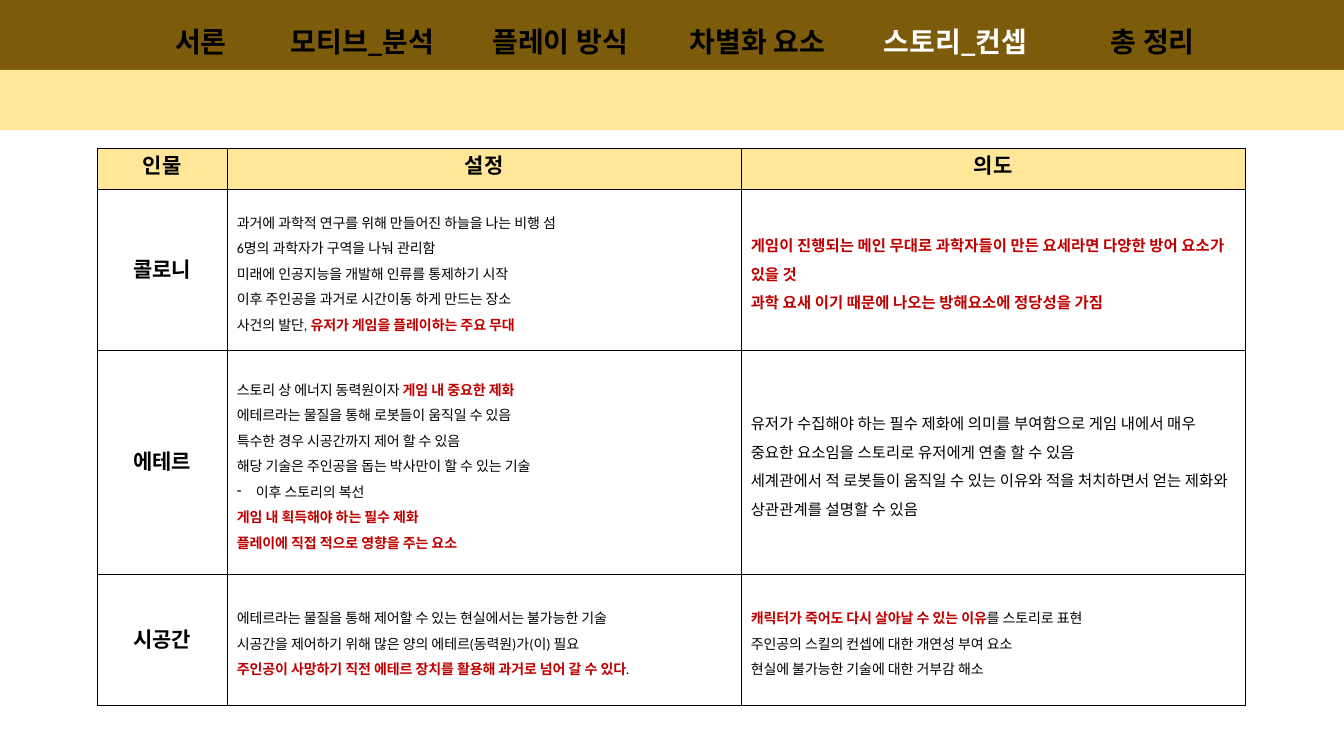
"""Build the story and concept slide with its tabs and setting table."""
from dataclasses import dataclass

from lxml import etree
from pptx import Presentation
from pptx.dml.color import RGBColor
from pptx.enum.shapes import MSO_SHAPE
from pptx.enum.text import MSO_ANCHOR, MSO_AUTO_SIZE, PP_ALIGN
from pptx.oxml.ns import qn
from pptx.util import Cm, Pt

RECT = MSO_SHAPE.RECTANGLE
MIDDLE, TOP = MSO_ANCHOR.MIDDLE, MSO_ANCHOR.TOP
CENTER, LEFT = PP_ALIGN.CENTER, PP_ALIGN.LEFT
GROW = MSO_AUTO_SIZE.SHAPE_TO_FIT_TEXT
FONT = "Calibri"
BLACK, WHITE, RED = "000000", "FFFFFF", "C00000"
BROWN, CREAM = "7C5B0A", "FFE699"
WIDE = 33.87


@dataclass
class Bar:
    top: float
    high: float
    fill: str


@dataclass
class Tab:
    text: str
    left: float
    live: bool = False


@dataclass
class Line:
    text: str = ""
    hot: str = ""
    tail: str = ""
    dash: bool = False


@dataclass
class Row:
    name: str
    high: float
    facts: list[Line]
    aims: list[Line]
    size: int = 11


BARS = [Bar(0, 1.8, BROWN), Bar(1.76, 1.52, CREAM)]
NAMES = ["모티브_분석", "플레이 방식", "차별화 요소", "스토리_컨셉", "총 정리"]
LIVE = "스토리_컨셉"
TABS = [Tab("서론", 2.74)] + [
    Tab(name, 6.81 + 4.98 * i, name == LIVE) for i, name in enumerate(NAMES)
]
HEADS = ["인물", "설정", "의도"]
COLS = [3.28, 12.95, 12.7]
HEAD = 1.04
ROWS = [
    Row("콜로니", 4.06, [
        Line("과거에 과학적 연구를 위해 만들어진 하늘을 나는 비행 섬"),
        Line("6명의 과학자가 구역을 나눠 관리함"),
        Line("미래에 인공지능을 개발해 인류를 통제하기 시작"),
        Line("이후 주인공을 과거로 시간이동 하게 만드는 장소"),
        Line("사건의 발단, ", "유저가 게임을 플레이하는 주요 무대"),
    ], [
        Line(hot="게임이 진행되는 메인 무대로 과학자들이 만든 요세라면 다양한 방어 요소가 있을 것"),
        Line(hot="과학 요새 이기 때문에 나오는 방해요소에 정당성을 가짐"),
    ]),
    Row("에테르", 5.64, [
        Line("스토리 상 에너지 동력원이자 ", "게임 내 중요한 제화"),
        Line("에테르라는 물질을 통해 로봇들이 움직일 수 있음"),
        Line("특수한 경우 시공간까지 제어 할 수 있음"),
        Line("해당 기술은 주인공을 돕는 박사만이 할 수 있는 기술"),
        Line("이후 스토리의 복선", dash=True),
        Line(hot="게임 내 획득해야 하는 필수 제화"),
        Line(hot="플레이에 직접 적으로 영향을 주는 요소"),
    ], [
        Line("유저가 수집해야 하는 필수 제화에 의미를 부여함으로 게임 내에서 매우 "
             "중요한 요소임을 스토리로 유저에게 연출 할 수 있음"),
        Line("세계관에서 적 로봇들이 움직일 수 있는 이유와 적을 처치하면서 얻는 제화와 "
             "상관관계를 설명할 수 있음"),
    ]),
    Row("시공간", 3.3, [
        Line("에테르라는 물질을 통해 제어할 수 있는 현실에서는 불가능한 기술"),
        Line("시공간을 제어하기 위해 많은 양의 에테르(동력원)가(이) 필요"),
        Line(hot="주인공이 사망하기 직전 에테르 장치를 활용해 과거로 넘어 갈 수 있다", tail="."),
    ], [
        Line(hot="캐릭터가 죽어도 다시 살아날 수 있는 이유", tail="를 스토리로 표현"),
        Line("주인공의 스킬의 컨셉에 대한 개연성 부여 요소"),
        Line("현실에 불가능한 기술에 대한 거부감 해소"),
    ], 10),
]


def paint(fill, tone: str) -> None:
    """Fill with one solid colour."""
    fill.solid()
    fill.fore_color.rgb = RGBColor.from_string(tone)


def style(run, size: int, tone: str, bold: bool) -> None:
    """Set the font of a run for Latin and Korean text."""
    run.font.size, run.font.bold, run.font.name = Pt(size), bold, FONT
    paint(run.font.fill, tone)
    etree.SubElement(run.font._element, qn("a:ea"), typeface=FONT)


def edge(cell) -> None:
    """Draw a thin black line on each side of a cell."""
    props = cell._tc.get_or_add_tcPr()
    for i, side in enumerate("LRTB"):
        line = etree.Element(qn(f"a:ln{side}"), w=str(Pt(1)))
        fill = etree.SubElement(line, qn("a:solidFill"))
        etree.SubElement(fill, qn("a:srgbClr"), val=BLACK)
        props.insert(i, line)


def dash(para) -> None:
    """Give a paragraph a hanging dash bullet."""
    props = para._p.get_or_add_pPr()
    props.set("marL", str(Cm(0.48)))
    props.set("indent", str(Cm(-0.48)))
    etree.SubElement(props, qn("a:buChar"), char="-")


def setup(cell, anchor) -> None:
    """Set the insets, anchor and borders of a cell."""
    cell.margin_left = cell.margin_right = Cm(0.24)
    cell.margin_top = cell.margin_bottom = Cm(0.12)
    cell.vertical_anchor = anchor
    edge(cell)


def label(cell, text: str, fill: str, anchor) -> None:
    """Write a bold centred cell."""
    setup(cell, anchor)
    paint(cell.fill, fill)
    para = cell.text_frame.paragraphs[0]
    para.text, para.alignment = text, CENTER
    style(para.runs[0], 15, BLACK, True)


def prose(cell, lines: list[Line], size: int) -> None:
    """Write lines with red bold parts into a cell."""
    setup(cell, MIDDLE)
    paint(cell.fill, WHITE)
    frame = cell.text_frame
    for i, line in enumerate(lines):
        para = frame.add_paragraph() if i else frame.paragraphs[0]
        para.alignment, para.line_spacing = LEFT, 1.5
        if line.dash:
            dash(para)
        for part, hot in ((line.text, False), (line.hot, True), (line.tail, False)):
            if part:
                run = para.add_run()
                run.text = part
                style(run, size, RED if hot else BLACK, hot)


def add_bar(slide, bar: Bar) -> None:
    """Draw a full-width band."""
    shape = slide.shapes.add_shape(RECT, 0, Cm(bar.top), Cm(WIDE), Cm(bar.high))
    shape.shadow.inherit = False
    paint(shape.fill, bar.fill)
    shape.line.fill.background()


def add_tab(slide, tab: Tab) -> None:
    """Write a tab, with the live one as the slide title."""
    if tab.live:
        box = slide.shapes.title
        slide.shapes._spTree.append(box._element)
    else:
        box = slide.shapes.add_textbox(0, 0, 0, 0)
    box.left, box.top, box.width, box.height = Cm(tab.left), Cm(0.13), Cm(4.65), Cm(1.4)
    frame = box.text_frame
    frame.word_wrap, frame.auto_size, frame.vertical_anchor = True, GROW, MIDDLE
    para = frame.paragraphs[0]
    para.text, para.alignment, para.line_spacing = tab.text, CENTER, 1.5
    style(para.runs[0], 20, WHITE if tab.live else BLACK, True)


def add_grid(slide) -> None:
    """Build the table of settings and aims."""
    highs = [HEAD] + [row.high for row in ROWS]
    grid = slide.shapes.add_table(len(highs), len(COLS), Cm(2.45), Cm(3.74),
                                  Cm(sum(COLS)), Cm(sum(highs))).table
    grid.first_row = grid.horz_banding = False
    for col, wide in zip(grid.columns, COLS):
        col.width = Cm(wide)
    for line, high in zip(grid.rows, highs):
        line.height = Cm(high)
    for i, head in enumerate(HEADS):
        label(grid.cell(0, i), head, CREAM, TOP)
    for i, row in enumerate(ROWS, 1):
        label(grid.cell(i, 0), row.name, WHITE, MIDDLE)
        prose(grid.cell(i, 1), row.facts, 10)
        prose(grid.cell(i, 2), row.aims, row.size)


def main() -> None:
    """Build and save the deck."""
    deck = Presentation()
    deck.slide_width, deck.slide_height = Cm(WIDE), Cm(19.05)
    slide = deck.slides.add_slide(deck.slide_layouts[5])
    for bar in BARS:
        add_bar(slide, bar)
    add_grid(slide)
    for tab in TABS:
        add_tab(slide, tab)
    deck.save("out.pptx")


if __name__ == "__main__":
    main()
